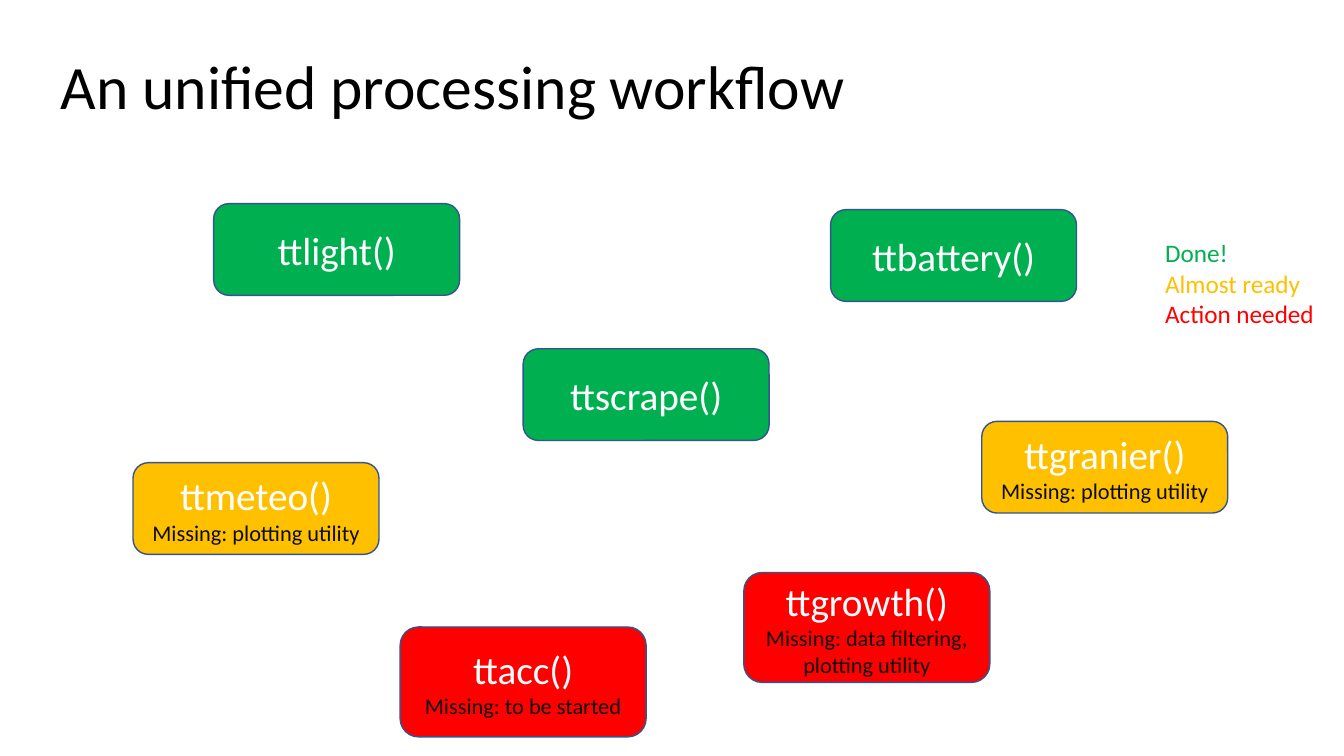
from pptx import Presentation
from pptx.dml.color import RGBColor
from pptx.enum.shapes import MSO_SHAPE as Shape
from pptx.enum.text import MSO_ANCHOR as Anchor, MSO_AUTO_SIZE as AutoSize, PP_ALIGN as Align
from pptx.util import Pt

FONT = "Calibri"
DONE, ALMOST, ACTION = "00B050", "FFC000", "FF0000"
BOX_WIDTH, BOX_HEIGHT, TALL_HEIGHT = 175.68, 65.52, 78.48
PLOTTING = "Missing: plotting utility"

FUNCTIONS = [
    ("ttscrape()", "", DONE, (373.68, 249.12, BOX_WIDTH, BOX_HEIGHT)),
    ("ttmeteo()", PLOTTING, ALMOST, (95.04, 330.48, BOX_WIDTH, BOX_HEIGHT)),
    ("ttgranier()", PLOTTING, ALMOST, (701.28, 300.96, BOX_WIDTH, BOX_HEIGHT)),
    ("ttbattery()", "", DONE, (593.28, 149.76, BOX_WIDTH, BOX_HEIGHT)),
    ("ttgrowth()", "Missing: data filtering, plotting utility", ACTION,
     (531.36, 408.96, BOX_WIDTH, TALL_HEIGHT)),
    ("ttlight()", "", DONE, (152.64, 145.44, BOX_WIDTH, BOX_HEIGHT)),
    ("ttacc()", "Missing: to be started", ACTION, (285.84, 447.84, BOX_WIDTH, TALL_HEIGHT)),
]
LEGEND = [("Done!", DONE), ("Almost ready", ALMOST), ("Action needed", ACTION)]


def color(value):
    """Return the colour for a hex string."""
    return RGBColor.from_string(value)


def points(box):
    """Return the lengths of a box, given in points."""
    return [Pt(length) for length in box]


def format_runs(paragraph, size, value, align):
    """Align a paragraph and set the font of its runs."""
    paragraph.alignment = align
    for run in paragraph.runs:
        run.font.name = FONT
        run.font.size = Pt(size)
        run.font.color.rgb = color(value)


def add_title(slide, text, box):
    """Place and format the title placeholder."""
    title = slide.shapes.title
    title.left, title.top, title.width, title.height = points(box)
    frame = title.text_frame
    frame.text = text
    frame.auto_size = AutoSize.NONE
    frame.vertical_anchor = Anchor.MIDDLE
    frame.paragraphs[0].line_spacing = 0.9
    format_runs(frame.paragraphs[0], 44, "000000", Align.LEFT)


def add_function(slide, name, missing, status, box):
    """Add a rounded box with a function name and what it still lacks."""
    shape = slide.shapes.add_shape(Shape.ROUNDED_RECTANGLE, *points(box))
    shape.shadow.inherit = False
    shape.fill.solid()
    shape.fill.fore_color.rgb = color(status)
    shape.line.color.rgb = color("325491")
    shape.line.width = Pt(1)
    frame = shape.text_frame
    frame.word_wrap = True
    frame.vertical_anchor = Anchor.MIDDLE
    frame.text = name
    format_runs(frame.paragraphs[0], 28, "FFFFFF", Align.CENTER)
    if missing:
        paragraph = frame.add_paragraph()
        paragraph.text = missing
        format_runs(paragraph, 16, "0D0D0D", Align.CENTER)


def add_legend(slide, entries, box):
    """Add the colour legend, one line for each status."""
    frame = slide.shapes.add_textbox(*points(box)).text_frame
    frame.word_wrap = True
    frame.auto_size = AutoSize.SHAPE_TO_FIT_TEXT
    frame.text = "\n".join(label for label, _ in entries)
    for paragraph, (_, status) in zip(frame.paragraphs, entries):
        format_runs(paragraph, 18, status, Align.LEFT)


def main():
    """Build and save the presentation."""
    presentation = Presentation()
    presentation.slide_width, presentation.slide_height = Pt(960), Pt(540)
    slide = presentation.slides.add_slide(presentation.slide_layouts.get_by_name("Title Only"))
    add_title(slide, "An unified processing workflow", (36, 11.52, 828, 104.4))
    for name, missing, status, box in FUNCTIONS:
        add_function(slide, name, missing, status, box)
    add_legend(slide, LEGEND, (825.12, 166.32, 138.24, 72.72))
    presentation.save("out.pptx")


if __name__ == "__main__":
    main()
